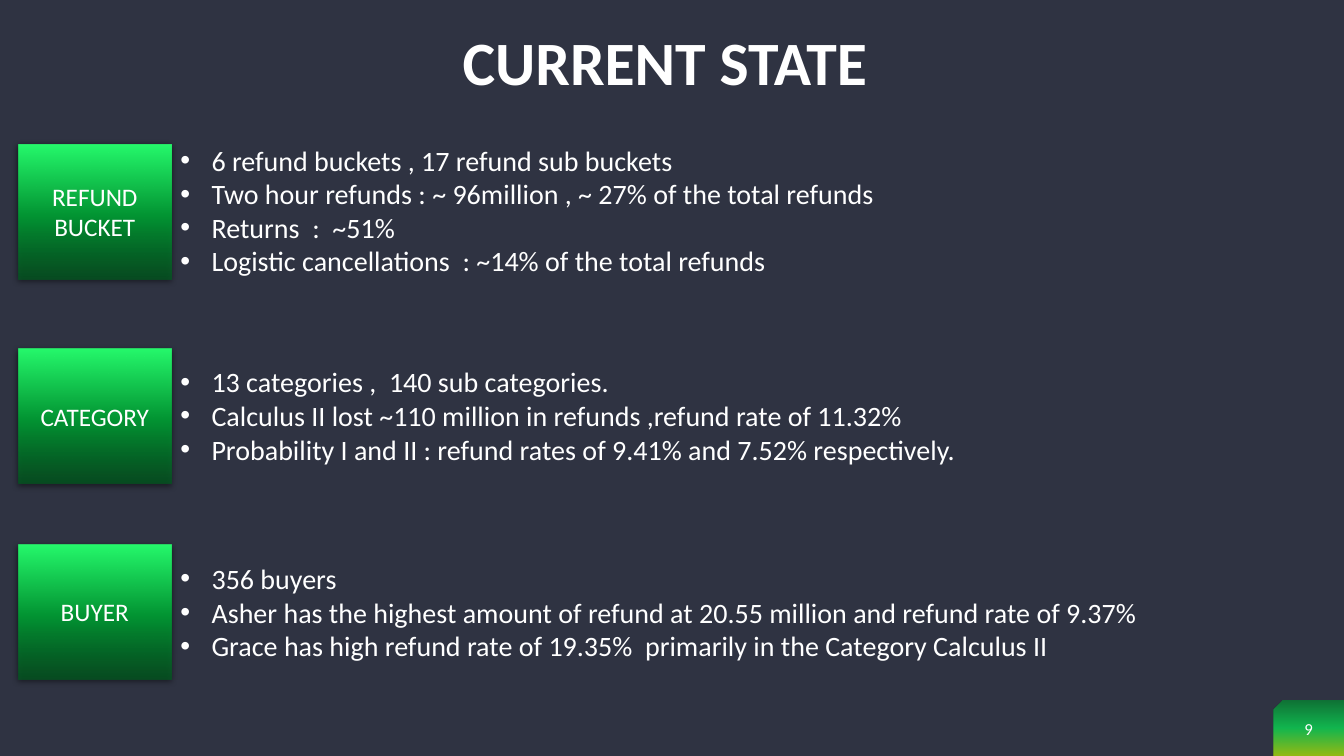
from dataclasses import dataclass

from pptx import Presentation
from pptx.dml.color import RGBColor
from pptx.enum.shapes import MSO_SHAPE as Shape
from pptx.enum.text import MSO_ANCHOR as Anchor, MSO_AUTO_SIZE as AutoSize, PP_ALIGN as Align
from pptx.oxml.ns import qn
from pptx.oxml.xmlchemy import OxmlElement
from pptx.shapes.autoshape import Shape as AutoShape
from pptx.slide import Slide
from pptx.text.text import TextFrame
from pptx.util import Pt

PX = 9144  # 100 px to the inch
FONT = "Calibri"
BACKGROUND = RGBColor(0x2F, 0x33, 0x42)
WHITE = RGBColor(0xFF, 0xFF, 0xFF)
BLACK = RGBColor(0x00, 0x00, 0x00)
DARK_GREEN = RGBColor(0x02, 0x5D, 0x20)
MID_GREEN = RGBColor(0x03, 0x96, 0x34)
LIGHT_GREEN = RGBColor(0x27, 0xFA, 0x6D)
CORNER_GREEN = RGBColor(0x03, 0x8B, 0x30)
CORNER_BRIGHT = RGBColor(0x05, 0xEE, 0x55)
CORNER_LIME = RGBColor(0xC0, 0xF4, 0x00)


@dataclass(frozen=True)
class Box:
    left: int
    top: int
    width: int
    height: int

    def emu(self) -> tuple[int, int, int, int]:
        return self.left * PX, self.top * PX, self.width * PX, self.height * PX


@dataclass(frozen=True)
class Stop:
    percent: int
    color: RGBColor
    alpha: int = 100


@dataclass(frozen=True)
class Section:
    label: str
    label_top: int
    text_box: Box
    points: tuple[str, ...]


LABEL_STOPS = (Stop(0, DARK_GREEN, 71), Stop(48, MID_GREEN), Stop(100, LIGHT_GREEN))
CORNER_STOPS = (Stop(0, CORNER_GREEN, 70), Stop(50, CORNER_BRIGHT, 70), Stop(100, CORNER_LIME, 70))

SECTIONS = (
    Section("REFUND BUCKET", 143, Box(169, 137, 756, 145), (
        "6 refund buckets , 17 refund sub buckets",
        "Two hour refunds : ~ 96million , ~ 27% of the total refunds",
        "Returns  :  ~51%",
        "Logistic cancellations  : ~14% of the total refunds",
    )),
    Section("CATEGORY", 346, Box(169, 357, 877, 111), (
        "13 categories ,  140 sub categories.",
        "Calculus II lost ~110 million in refunds ,refund rate of 11.32%",
        "Probability I and II : refund rates of 9.41% and 7.52% respectively.",
    )),
    Section("BUYER", 540, Box(169, 552, 981, 145), (
        "356 buyers",
        "Asher has the highest amount of refund at 20.55 million and refund rate of 9.37%",
        "Grace has high refund rate of 19.35%  primarily in the Category Calculus II",
    )),
)


def add_child(parent, tag: str, **attributes: object):
    child = OxmlElement(tag)
    for name, value in attributes.items():
        child.set(name, str(value))
    parent.append(child)
    return child


def add_color(parent, color: RGBColor, alpha: int) -> None:
    srgb = add_child(parent, "a:srgbClr", val=color)
    if alpha < 100:
        add_child(srgb, "a:alpha", val=alpha * 1000)


def set_gradient(s: AutoShape, stops: tuple[Stop, ...], angle: int) -> None:
    """Fill with stops along an angle, clockwise in degrees."""
    s.fill.background()
    gradient = OxmlElement("a:gradFill")
    stop_list = add_child(gradient, "a:gsLst")
    for stop in stops:
        add_color(add_child(stop_list, "a:gs", pos=stop.percent * 1000), stop.color, stop.alpha)
    add_child(gradient, "a:lin", ang=angle * 60000, scaled=0)
    sp_pr = s._element.spPr
    sp_pr.replace(sp_pr.find(qn("a:noFill")), gradient)


def add_shadow(s: AutoShape) -> None:
    effects = s._element.spPr.find(qn("a:effectLst"))
    shadow = add_child(effects, "a:outerShdw", blurRad=Pt(4.5), dist=Pt(1.5),
                       dir=90 * 60000, algn="ctr", rotWithShape=0)
    add_color(shadow, BLACK, 63)


def write(tf: TextFrame, *lines: str, size: int, bold: bool = False,
          align: Align = Align.CENTER, anchor: Anchor = Anchor.MIDDLE,
          bullet: bool = False, spacing: float | None = None) -> None:
    tf.word_wrap = True
    tf.vertical_anchor = anchor
    for i, line in enumerate(lines):
        p = tf.add_paragraph() if i else tf.paragraphs[0]
        p.alignment = align
        if spacing:
            p.line_spacing = spacing
        if bullet:
            p_pr = p._p.get_or_add_pPr()
            p_pr.set("marL", str(31 * PX))
            p_pr.set("indent", str(-31 * PX))
            add_child(p_pr, "a:buFont", typeface="Arial")
            add_child(p_pr, "a:buChar", char="•")
        r = p.add_run()
        r.text = line
        r.font.name = FONT
        r.font.size = Pt(size)
        r.font.bold = bold
        r.font.color.rgb = WHITE


def add_gradient_shape(slide: Slide, kind: Shape, box: Box,
                       stops: tuple[Stop, ...], angle: int) -> AutoShape:
    s = slide.shapes.add_shape(kind, *box.emu())
    s.shadow.inherit = False
    s.line.fill.background()
    set_gradient(s, stops, angle)
    return s


def add_page_number(slide: Slide, number: str) -> None:
    corner = add_gradient_shape(slide, Shape.SNIP_1_RECTANGLE, Box(1263, 695, 70, 55),
                                CORNER_STOPS, 90)
    corner._element.spPr.find(qn("a:xfrm")).set("flipH", "1")
    tb = slide.shapes.add_textbox(*Box(1263, 701, 70, 45).emu())
    write(tb.text_frame, number, size=12)


def add_title(slide: Slide, text: str) -> None:
    title = slide.shapes.title
    title.left, title.top, title.width, title.height = Box(65, 0, 1203, 130).emu()
    write(title.text_frame, text, size=44, bold=True, spacing=0.9)


def add_section(slide: Slide, section: Section) -> None:
    label = add_gradient_shape(slide, Shape.RECTANGLE, Box(18, section.label_top, 152, 134),
                               LABEL_STOPS, 270)
    add_shadow(label)
    write(label.text_frame, section.label, size=18)
    tb = slide.shapes.add_textbox(*section.text_box.emu())
    write(tb.text_frame, *section.points, size=20, align=Align.LEFT,
          anchor=Anchor.TOP, bullet=True)
    tb.text_frame.auto_size = AutoSize.SHAPE_TO_FIT_TEXT


def main() -> None:
    prs = Presentation()
    prs.slide_width, prs.slide_height = 1333 * PX, 750 * PX
    slide = prs.slides.add_slide(prs.slide_layouts.get_by_name("Title Only"))
    slide.background.fill.solid()
    slide.background.fill.fore_color.rgb = BACKGROUND
    add_page_number(slide, "9")
    add_title(slide, "CURRENT STATE ")
    for section in SECTIONS:
        add_section(slide, section)
    prs.save("out.pptx")


if __name__ == "__main__":
    main()
